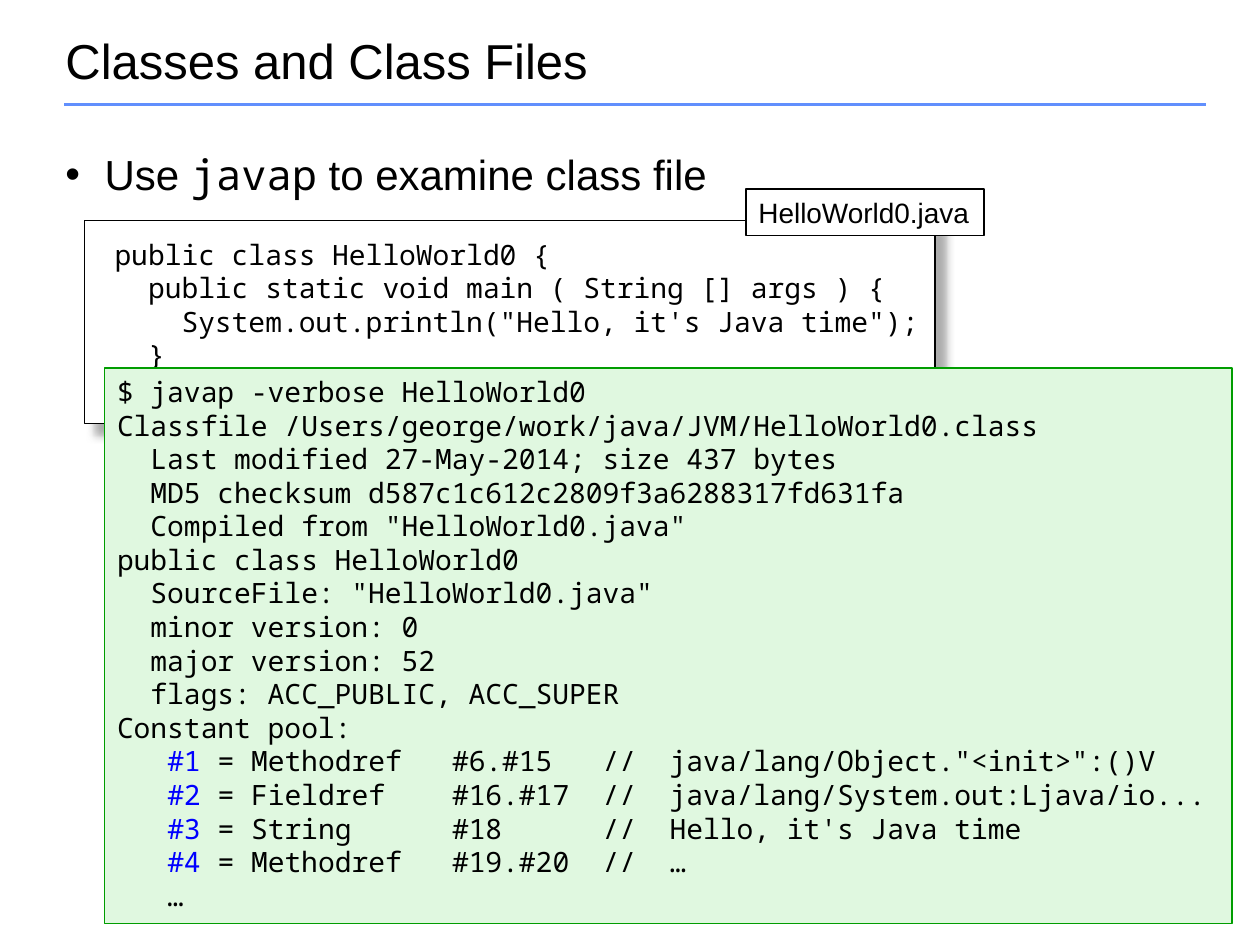
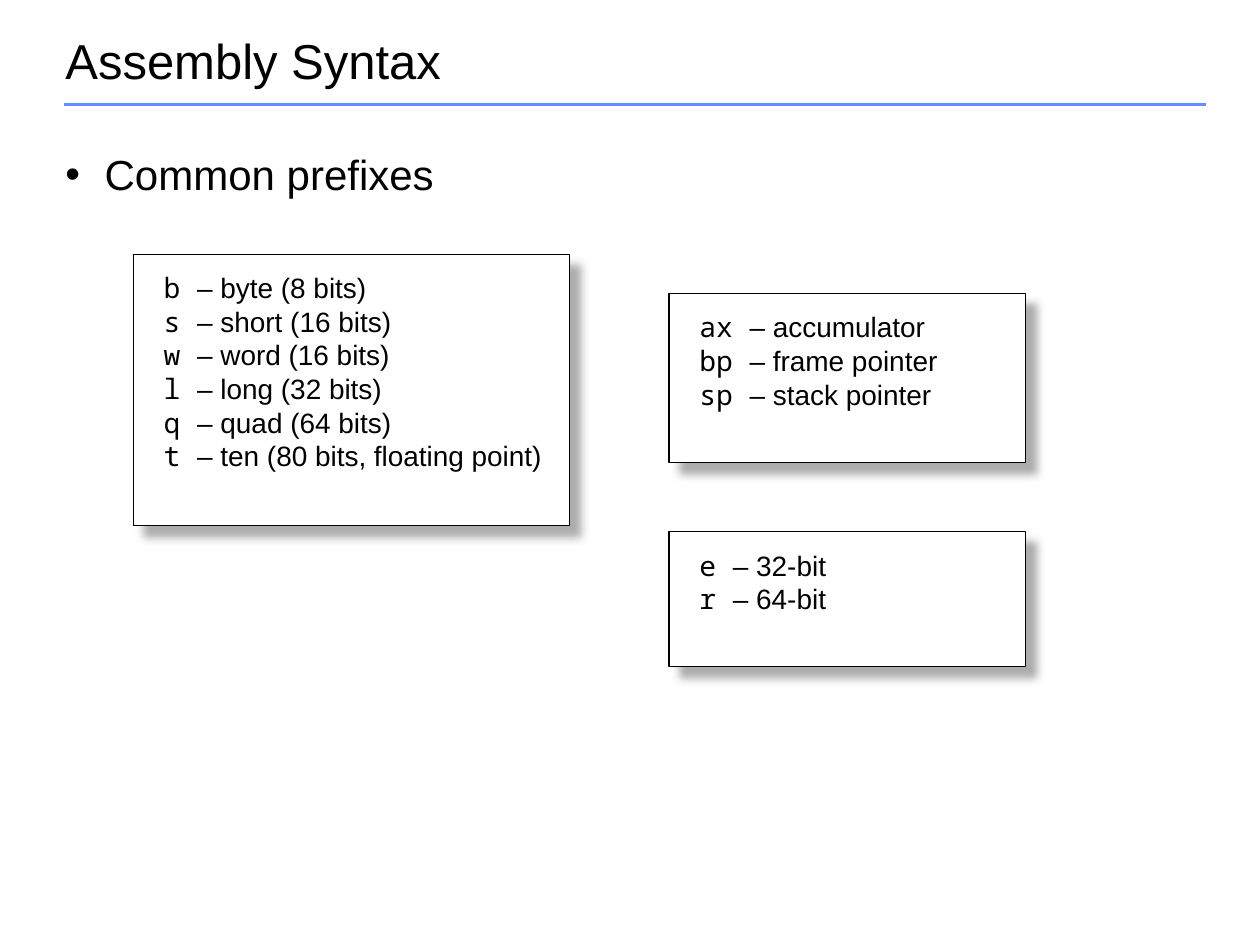
from lxml import etree
from pptx import Presentation
from pptx.dml.color import RGBColor
from pptx.enum import shapes, text
from pptx.oxml import ns
from pptx.util import Cm, Pt

SANS, MONO = "Arial", "Noto Sans Mono"
BLACK, WHITE, RULE_BLUE = "000000", "FFFFFF", "618FFD"
LINK_BLUE, PALE_GREEN, GREEN, SHADOW_GREY = "0000FF", "E0F8E0", "009D00", "919191"
TITLE_ONLY = 5
PLAIN_INSETS = (0.25, 0.13, 0.25, 0.13)
PANEL_INSETS = (0.61, 0.33, 0.25, 0.33)


def rgb(value):
    return RGBColor.from_string(value)


def add_element(parent, tag, **attributes):
    return etree.SubElement(parent, ns.qn(tag), attributes)


def add_span(para, content, size=16, font=SANS, color=BLACK):
    span = para.add_run()
    span.text = content
    span.font.size = Pt(size)
    span.font.name = font
    span.font.color.rgb = rgb(color)


def add_shadow(shape):
    effects = add_element(shape._element.spPr, "a:effectLst")
    shadow = add_element(effects, "a:outerShdw", blurRad=str(Pt(5)),
                         dist=str(Pt(8.5)), dir="2700000", algn="tl", rotWithShape="0")
    color = add_element(shadow, "a:srgbClr", val=SHADOW_GREY)
    add_element(color, "a:alpha", val="75000")


def add_bullet(para):
    properties = para._p.get_or_add_pPr()
    properties.set("marL", str(Cm(0.79)))
    properties.set("indent", str(-Cm(0.79)))
    add_element(properties, "a:buFont", typeface=SANS)
    add_element(properties, "a:buChar", char="•")


def mono_lines(block):
    """Turn a block of code into lines of one monospaced span each."""
    return [[(line, {"font": MONO})] for line in block.splitlines()]


def meanings(pairs):
    """Pair each monospaced mnemonic with its explanation."""
    return [[(f"{name} ", {"font": MONO}), (f"– {meaning}", {})]
            for name, meaning in pairs]


class Deck:
    """The presentation, its shared style and the page being filled."""

    def __init__(self):
        self.file = Presentation()
        self.file.slide_width = Cm(25.4)
        self.file.slide_height = Cm(19.05)
        self.page = None

    def start_page(self, heading):
        self.page = self.file.slides.add_slide(self.file.slide_layouts[TITLE_ONLY])
        self.rule(1.3, 2.11, 24.31)
        title = self.page.shapes.title
        title.left, title.top, title.width, title.height = map(
            Cm, (1.07, 0.64, 23.29, 1.27))
        self.fill_frame(title.text_frame, [[(heading, {"size": 28})]],
                        anchor=text.MSO_ANCHOR.MIDDLE, spacing=0.9)

    def rule(self, left, top, right):
        line = self.page.shapes.add_connector(
            shapes.MSO_CONNECTOR.STRAIGHT, Cm(left), Cm(top), Cm(right), Cm(top))
        line.line.color.rgb = rgb(RULE_BLUE)
        line.line.width = Pt(2)
        add_element(line._element.spPr, "a:effectLst")

    def fill_frame(self, frame, lines, insets=PLAIN_INSETS,
                   anchor=text.MSO_ANCHOR.TOP, spacing=None):
        """Write lines, each a list of (text, format) spans, into a frame."""
        frame.word_wrap = True
        frame.auto_size = text.MSO_AUTO_SIZE.NONE
        frame.vertical_anchor = anchor
        (frame.margin_left, frame.margin_top,
         frame.margin_right, frame.margin_bottom) = map(Cm, insets)
        for number, spans in enumerate(lines):
            para = frame.add_paragraph() if number else frame.paragraphs[0]
            para.alignment = text.PP_ALIGN.LEFT
            if spacing:
                para.line_spacing = spacing
            for content, style in spans:
                add_span(para, content, **style)

    def bullet(self, *spans):
        box = self.page.shapes.add_textbox(Cm(1.07), Cm(2.97), Cm(23.29), Cm(1.4))
        self.fill_frame(box.text_frame,
                        [[(content, {"size": 24, "font": font}) for content, font in spans]],
                        spacing=0.9)
        add_bullet(box.text_frame.paragraphs[0])

    def box(self, place, lines, fill=WHITE, outline=BLACK, insets=PLAIN_INSETS):
        shape = self.page.shapes.add_shape(
            shapes.MSO_SHAPE.RECTANGLE, *map(Cm, place))
        shape.fill.solid()
        shape.fill.fore_color.rgb = rgb(fill)
        shape.line.color.rgb = rgb(outline)
        shape.line.width = Pt(0.75)
        self.fill_frame(shape.text_frame, lines, insets)
        return shape

    def flat_box(self, place, lines, **style):
        self.box(place, lines, **style).shadow.inherit = False

    def shadow_panel(self, place, lines):
        add_shadow(self.box(place, lines, insets=PANEL_INSETS))


HELLO_SOURCE = """\
public class HelloWorld0 {
  public static void main ( String [] args ) {
    System.out.println("Hello, it's Java time");
  }
}"""

JAVAP_HEADER = """\
$ javap -verbose HelloWorld0
Classfile /Users/george/work/java/JVM/HelloWorld0.class
  Last modified 27-May-2014; size 437 bytes
  MD5 checksum d587c1c612c2809f3a6288317fd631fa
  Compiled from "HelloWorld0.java"
public class HelloWorld0
  SourceFile: "HelloWorld0.java"
  minor version: 0
  major version: 52
  flags: ACC_PUBLIC, ACC_SUPER
Constant pool:"""

CONSTANT_POOL = [
    ("Methodref", "#6.#15", 'java/lang/Object."<init>":()V'),
    ("Fieldref", "#16.#17", "java/lang/System.out:Ljava/io..."),
    ("String", "#18", "Hello, it's Java time"),
    ("Methodref", "#19.#20", "…"),
]

SIZE_PREFIXES = [
    ("b", "byte (8 bits)"),
    ("s", "short (16 bits)"),
    ("w", "word (16 bits)"),
    ("l", "long (32 bits)"),
    ("q", "quad (64 bits)"),
    ("t", "ten (80 bits, floating point)"),
]
REGISTERS = [("ax", "accumulator"), ("bp", "frame pointer"), ("sp", "stack pointer")]
REGISTER_WIDTHS = [("e", "32-bit"), ("r", "64-bit")]


def pool_lines():
    """Lay out the constant pool in columns, with its indexes in blue."""
    return [[("   ", {"font": MONO}),
             (f"#{index}", {"font": MONO, "color": LINK_BLUE}),
             (f" = {kind:<12}{reference:<9}//  {note}", {"font": MONO})]
            for index, (kind, reference, note) in enumerate(CONSTANT_POOL, 1)]


def add_class_files(deck):
    deck.start_page("Classes and Class Files")
    deck.bullet(("Use ", SANS), ("javap", MONO), (" to examine class file", SANS))
    deck.shadow_panel((1.7, 4.45, 17.15, 4.09), mono_lines(HELLO_SOURCE))
    deck.flat_box((15.04, 3.81, 4.8, 0.94), [[("HelloWorld0.java", {})]])
    listing = mono_lines(JAVAP_HEADER) + pool_lines() + mono_lines("   …")
    deck.flat_box((2.11, 7.42, 22.73, 11.2), listing, fill=PALE_GREEN, outline=GREEN)


def add_assembly_syntax(deck):
    deck.start_page("Assembly Syntax")
    deck.bullet(("Common prefixes", SANS))
    deck.shadow_panel((2.69, 5.13, 8.79, 5.46), meanings(SIZE_PREFIXES))
    deck.shadow_panel((13.49, 5.92, 7.19, 3.4), meanings(REGISTERS))
    deck.shadow_panel((13.49, 10.72, 7.19, 2.72), meanings(REGISTER_WIDTHS))


def main():
    deck = Deck()
    add_class_files(deck)
    add_assembly_syntax(deck)
    deck.file.save("out.pptx")


if __name__ == "__main__":
    main()
